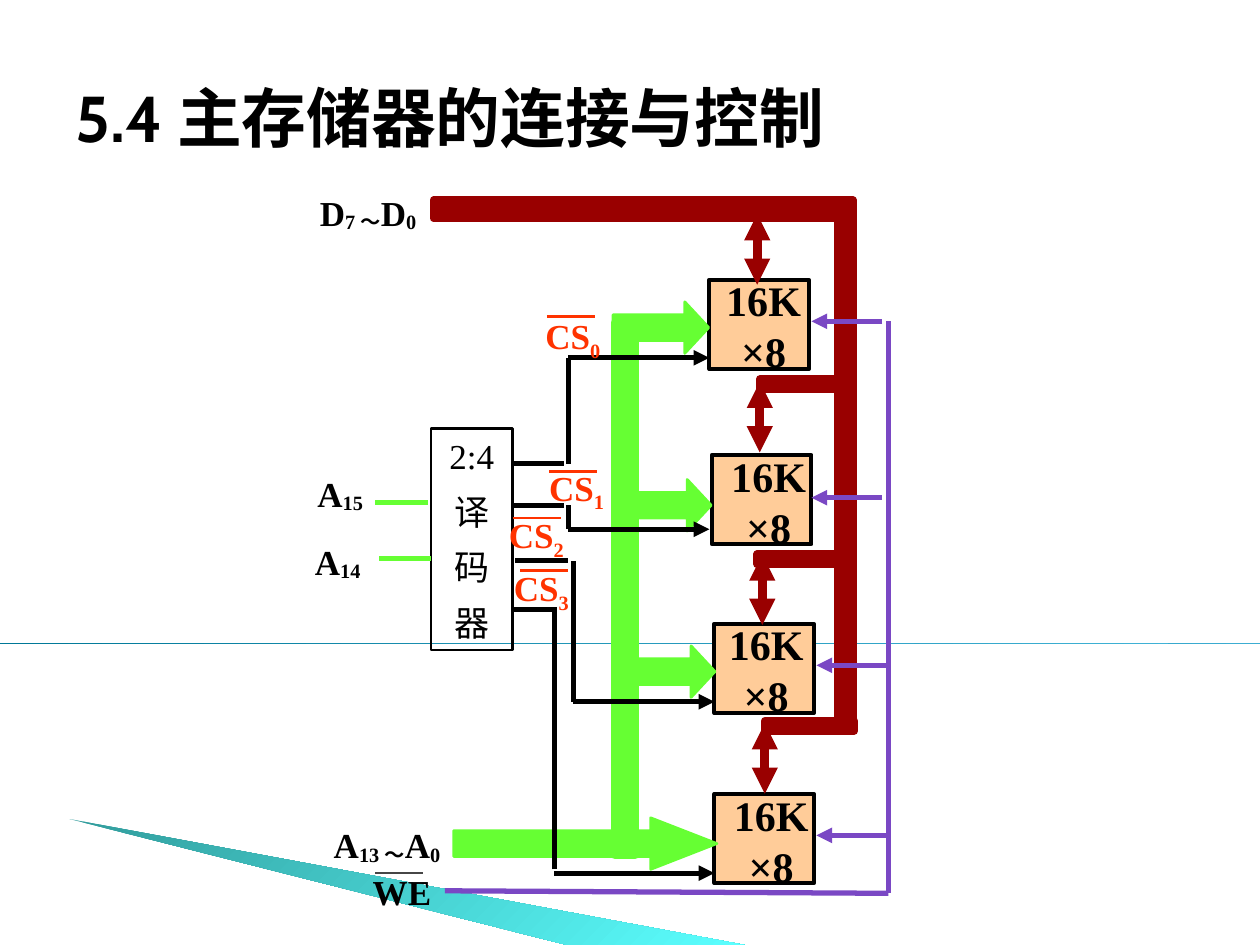
from lxml import etree
from pptx import Presentation
from pptx.dml.color import RGBColor
from pptx.enum import shapes, text
from pptx.oxml.ns import qn
from pptx.util import Inches, Pt

BLACK = RGBColor(0x00, 0x00, 0x00)
GRAY = RGBColor(0x46, 0x46, 0x46)
PEACH = RGBColor(0xFF, 0xCC, 0x99)
GREEN = RGBColor(0x66, 0xFF, 0x33)
MAROON = RGBColor(0x99, 0x00, 0x00)
PURPLE = RGBColor(0x7A, 0x48, 0xC4)
ORANGE = RGBColor(0xFF, 0x33, 0x00)
TEAL = RGBColor(0x00, 0x78, 0x97)
SKY = RGBColor(0x4A, 0xBB, 0xE0)
DARK_CYAN = RGBColor(0x31, 0x9C, 0x9C)
CYAN = RGBColor(0x5B, 0xFF, 0xFF)

CJK = "Noto Sans CJK SC"
RECT = shapes.MSO_SHAPE.RECTANGLE
ARROW = shapes.MSO_SHAPE.UP_ARROW

prs = Presentation()
prs.slide_width, prs.slide_height = Inches(10), Inches(7.5)
s = prs.slides.add_slide(prs.slide_layouts[6])


def add_text(paragraphs, x, y, w, h, size=20, color=BLACK, bold=True, font="Times New Roman",
             align=text.PP_ALIGN.LEFT, anchor=text.MSO_ANCHOR.TOP, before=0, spacing=None, border=None):
    """Each paragraph is a list of (text, baseline percent); spacing applies after the first."""
    tb = s.shapes.add_textbox(Inches(x), Inches(y), Inches(w), Inches(h))
    if border:
        tb.line.color.rgb = BLACK
        tb.line.width = Pt(border)
    tf = tb.text_frame
    tf.word_wrap = True
    tf.vertical_anchor = anchor
    for i, runs in enumerate(paragraphs):
        p = tf.add_paragraph() if i else tf.paragraphs[0]
        p.alignment = align
        if i:
            p.space_before = Pt(before)
            p.line_spacing = spacing
        for content, baseline in runs:
            r = p.add_run()
            r.text = content
            r.font.size, r.font.bold, r.font.name = Pt(size), bold, font
            r.font.color.rgb = color
            rPr = r._r.get_or_add_rPr()
            if baseline:
                rPr.set("baseline", str(baseline * 1000))
            etree.SubElement(rPr, qn("a:ea")).set("typeface", CJK)


def add_line(x1, y1, x2, y2, color=BLACK, width=3, ends=()):
    """ends holds headEnd and/or tailEnd, for arrowheads at the start and the end."""
    ln = s.shapes.add_connector(shapes.MSO_CONNECTOR.STRAIGHT,
                                Inches(x1), Inches(y1), Inches(x2), Inches(y2))
    ln.line.color.rgb = color
    ln.line.width = Pt(width)
    for end in ends:
        etree.SubElement(ln.line._get_or_add_ln(), qn("a:" + end)).set("type", "triangle")
    etree.SubElement(ln._element.spPr, qn("a:effectLst"))


# Background decoration
rule = s.shapes.add_shape(shapes.MSO_SHAPE.RIGHT_TRIANGLE, 0, Inches(5.1), Inches(10), Inches(0.01))
fb = s.shapes.build_freeform(Inches(0.55), Inches(6.5), scale=1)
fb.add_line_segments([(Inches(5.91), Inches(7.5)), (Inches(4.5), Inches(7.5))], close=True)
wedge = fb.convert_to_shape()
for sp, angle, first, last in [(rule, 0, TEAL, SKY), (wedge, 315, DARK_CYAN, CYAN)]:
    sp.shadow.inherit = False
    sp.line.fill.background()
    sp.fill.gradient()
    sp.fill.gradient_angle = angle
    for stop, color in zip(sp.fill.gradient_stops, (first, last)):
        stop.color.rgb = color

add_text([[("5.4 ", 0), ("主存储器的连接与控制", 0)]], 0.5, 0.3, 9, 1.25, size=37,
         font="Cabin", anchor=text.MSO_ANCHOR.MIDDLE)
add_text([[("D", 0), ("7 ～", -10), ("D", 0), ("0", -10)]], 2.44, 1.47, 1.29, 0.44)

# Memory chips, address bus (green) and data bus (maroon)
chips = [(5.63, 2.22), (5.65, 3.61), (5.67, 4.95), (5.67, 6.3)]
blocks = [(RECT, x, y, 0.79, 0.71, 0, None, PEACH, BLACK, 2.25) for x, y in chips]
blocks += [(ARROW, x, y, 0.41, h, 90, head, GREEN, GREEN, 1.5) for x, y, h, head in [
    (5.04, 2.22, 0.76, 0.465), (5.06, 3.63, 0.76, 0.465),
    (4.44, 5.65, 2.09, 1.285), (5.09, 4.95, 0.76, 0.465)]]
blocks.append((RECT, 4.88, 2.56, 0.16, 4.23, 0, None, GREEN, GREEN, 4.5))
blocks += [(RECT, x, y, w, h, 0, None, MAROON, MAROON, 4.5) for x, y, w, h in [
    (3.44, 1.59, 3.25, 0.14), (6.65, 1.59, 0.12, 4.17), (6.07, 5.72, 0.71, 0.08),
    (6.01, 4.4, 0.71, 0.08), (6.03, 3.01, 0.71, 0.08)]]
for kind, x, y, w, h, rotation, head, fill, outline, width in blocks:
    sp = s.shapes.add_shape(kind, Inches(x), Inches(y), Inches(w), Inches(h))
    sp.shadow.inherit = False
    sp.rotation = rotation
    if head:
        sp.adjustments[0], sp.adjustments[1] = 0.5, head
    sp.fill.solid()
    sp.fill.fore_color.rgb = fill
    sp.line.color.rgb = outline
    sp.line.width = Pt(width)

for x, y in [(5.32, 2.13), (5.36, 3.53), (5.34, 4.86), (5.38, 6.22)]:
    add_text([[("16K", 0)], [("×8", 0)]], x, y, 1.48, 0.87, size=24,
             align=text.PP_ALIGN.CENTER, before=15, spacing=0.4)
for x, y in [(6.01, 1.7), (6.03, 3.03), (6.05, 4.4), (6.07, 5.74)]:
    add_line(x, y, x, y + 0.56, MAROON, 5, ("headEnd", "tailEnd"))

# Write enable
for x, y, tip in [(7, 2.55, 6.44), (7, 3.95, 6.44), (7.05, 5.28, 6.48), (7.05, 6.63, 6.48)]:
    add_line(x, y, tip, y, PURPLE, ends=["tailEnd"])
add_line(7.05, 2.55, 7.05, 7.09, PURPLE)
add_line(3.53, 7.07, 7.05, 7.09, PURPLE)
add_line(2.98, 6.93, 3.36, 6.93, GRAY, 1.5)
add_text([[("WE", 0)]], 2.86, 6.86, 1.29, 0.44)

# Decoder with its inputs
add_text([[(line, 0)] for line in ("2:4", "译", "码", "器")], 3.42, 3.4, 0.65, 1.76, bold=False,
         align=text.PP_ALIGN.CENTER, before=12.5, spacing=0.8, border=1.5)
add_line(2.98, 3.99, 3.4, 3.99, GREEN)
add_line(3.01, 4.43, 3.42, 4.43, GREEN)
add_text([[("A", 0), ("13 ～", -10), ("A", 0), ("0", -10)]], 2.55, 6.49, 1.29, 0.44)
add_text([[("A", 0), ("14", -10)]], 2.4, 4.24, 1.15, 0.44)
add_text([[("A", 0), ("15", -10)]], 2.42, 3.7, 1.15, 0.44)

# Chip selects: decoder output, vertical run, arrow into the chip
for start, out_y, end, x, top, bottom, chip_y, chip_x in [
        (4.07, 3.68, 4.48, 4.51, 2.84, 3.68, 2.84, 5.63),
        (4.07, 4.01, 4.48, 4.51, 4.01, 4.2, 4.2, 5.63),
        (4.09, 4.45, 4.51, 4.55, 4.45, 5.57, 5.57, 5.67),
        (4.07, 4.84, 4.38, 4.4, 4.82, 6.9, 6.93, 5.67)]:
    add_line(start, out_y, end, out_y)
    add_line(x, bottom, x, top)
    add_line(x, chip_y, chip_x, chip_y, ends=["tailEnd"])
for i, (x, y, bar_x, bar_y) in enumerate([
        (4.23, 2.45, 4.34, 2.51), (4.26, 3.65, 4.36, 3.74),
        (3.94, 4.03, 4.07, 4.11), (3.98, 4.45, 4.13, 4.53)]):
    add_text([[("CS", 0), (str(i), -25)]], x, y, 1.29, 0.48, color=ORANGE)
    add_line(bar_x, bar_y, bar_x + 0.38, bar_y, ORANGE, 1.5)

prs.save("out.pptx")
